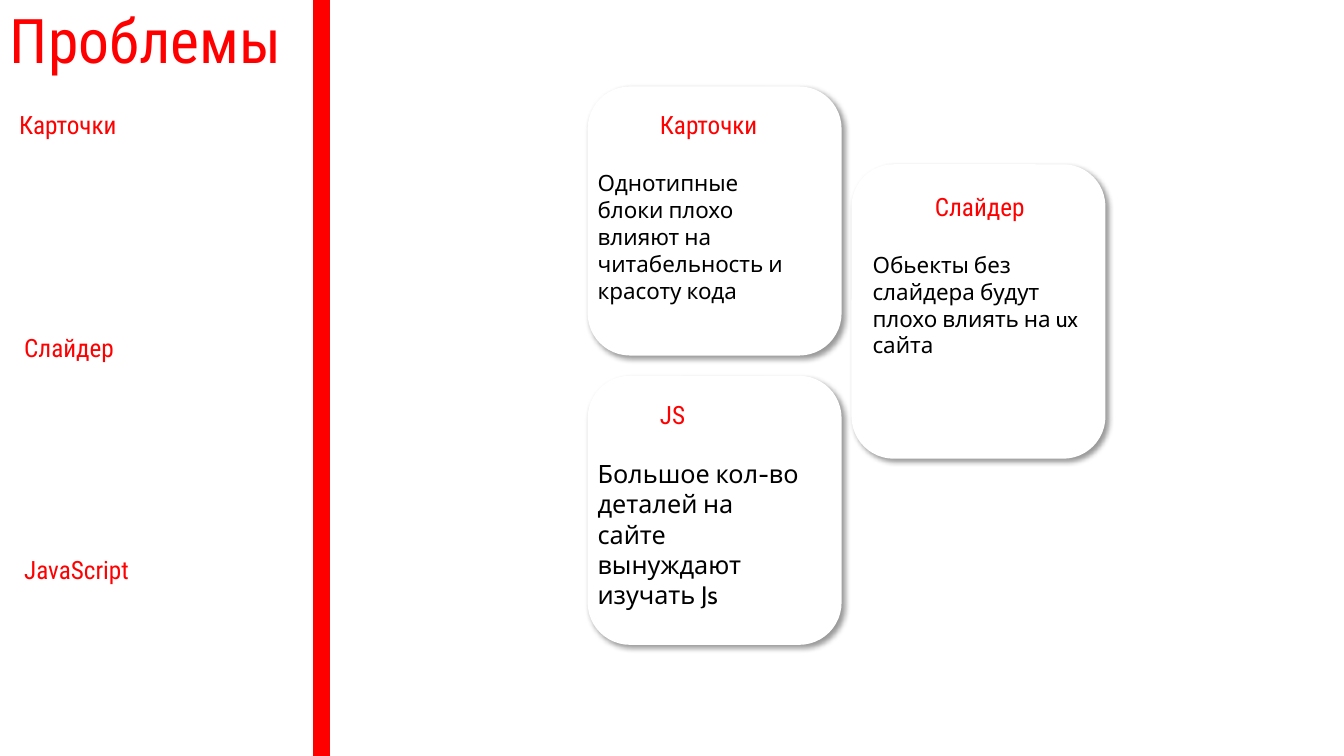
from lxml.etree import SubElement
from pptx import Presentation
from pptx.dml.color import RGBColor
from pptx.enum.shapes import MSO_SHAPE as Shape
from pptx.enum.text import MSO_ANCHOR as Anchor, MSO_AUTO_SIZE as AutoSize
from pptx.oxml.ns import qn
from pptx.util import Cm, Pt

TITLE = "Проблемы"
TOPICS = [("Карточки", 0.23), ("Слайдер", 0.36), ("JavaScript", 0.36)]  # text, left
CARDS = [
    {"heading": "Карточки", "place": (14.81, 2.18, 6.4, 6.78), "inset": (1.57, 0.46),
     "body": "Однотипные блоки плохо влияют на читабельность и красоту кода",
     "style": "body", "body_height": 3.76},
    {"heading": "Слайдер", "place": (21.46, 4.14, 6.4, 7.42), "inset": (1.85, 0.56),
     "body": "Обьекты без слайдера будут плохо влиять на ux сайта",
     "style": "body", "body_height": 3.76},
    {"heading": "JS", "place": (14.81, 9.47, 6.4, 6.78), "inset": (1.57, 0.46),
     "body": "Большое кол-во деталей на сайте вынуждают изучать Js",
     "style": "large_body", "body_height": 4.11},
]

RED, BLACK, WHITE = (RGBColor.from_string(code) for code in ("FF0000", "000000", "FFFFFF"))
THEME = {
    "accent": RED,
    "card": WHITE,
    "shadow": BLACK,
    "title": {"name": "Roboto Condensed", "size": Pt(44), "color": RED},
    "heading": {"name": "Roboto Condensed", "size": Pt(18), "color": RED},
    "body": {"name": "Cabin", "size": Pt(16), "color": BLACK},
    "large_body": {"name": "Cabin", "size": Pt(18), "color": BLACK},
}

PAGE_WIDTH, PAGE_HEIGHT = 33.87, 19.05
PANEL_WIDTH, TITLE_HEIGHT, BAR_WIDTH = 7.92, 2.18, 0.38
TOPIC_TOP, TOPIC_STEP, TOPIC_WIDTH = 2.64, 5.6, 7.19
HEADING_WIDTH, HEADING_HEIGHT = 3.78, 1.02
BODY_WIDTH, BODY_SHIFT = 5.69, (-1.57, 1.5)  # shift from the card heading


def add_text(page, text, style, place, **frame_format):
    box = page.shapes.add_textbox(*map(Cm, place))
    frame = box.text_frame
    settings = {"word_wrap": True, "auto_size": AutoSize.SHAPE_TO_FIT_TEXT, **frame_format}
    for name, value in settings.items():
        setattr(frame, name, value)
    para = frame.paragraphs[0]
    span = para.add_run()
    span.text = text
    for name, value in THEME[style].items():
        if name == "color":
            span.font.color.rgb = value
        else:
            setattr(span.font, name, value)
    return para


def add_block(page, kind, place, color):
    block = page.shapes.add_shape(kind, *map(Cm, place))
    block.shadow.inherit = False
    block.fill.solid()
    block.fill.fore_color.rgb = color
    return block


def cast_shadow(block):
    """Give the block a soft shadow down and to the right."""
    effects = block._element.spPr.find(qn("a:effectLst"))
    shadow = SubElement(effects, qn("a:outerShdw"), blurRad=str(Pt(4)), dist=str(Pt(3)),
                        dir=str(45 * 60000), algn="tl", rotWithShape="0")
    color = SubElement(shadow, qn("a:srgbClr"), val=str(THEME["shadow"]))
    SubElement(color, qn("a:alpha"), val="40000")


def add_panel(page):
    title = add_text(page, TITLE, "title", (0, 0, PANEL_WIDTH, TITLE_HEIGHT),
                     auto_size=AutoSize.NONE, vertical_anchor=Anchor.MIDDLE)
    title.line_spacing = 0.9
    bar = add_block(page, Shape.RECTANGLE, (PANEL_WIDTH, 0, BAR_WIDTH, PAGE_HEIGHT),
                    THEME["accent"])
    bar.line.color.rgb = THEME["accent"]
    bar.line.width = Pt(1.5)
    for row, (topic, left) in enumerate(TOPICS):
        top = TOPIC_TOP + row * TOPIC_STEP
        add_text(page, topic, "heading", (left, top, TOPIC_WIDTH, HEADING_HEIGHT))


def add_card(page, card):
    block = add_block(page, Shape.ROUNDED_RECTANGLE, card["place"], THEME["card"])
    block.line.fill.background()
    cast_shadow(block)
    left, top = (edge + inset for edge, inset in zip(card["place"], card["inset"]))
    add_text(page, card["heading"], "heading", (left, top, HEADING_WIDTH, HEADING_HEIGHT))
    add_text(page, card["body"], card["style"],
             (left + BODY_SHIFT[0], top + BODY_SHIFT[1], BODY_WIDTH, card["body_height"]))


def main():
    deck = Presentation()
    deck.slide_width, deck.slide_height = Cm(PAGE_WIDTH), Cm(PAGE_HEIGHT)
    page = deck.slides.add_slide(deck.slide_layouts[6])
    add_panel(page)
    for card in CARDS:
        add_card(page, card)
    deck.save("out.pptx")


if __name__ == "__main__":
    main()
